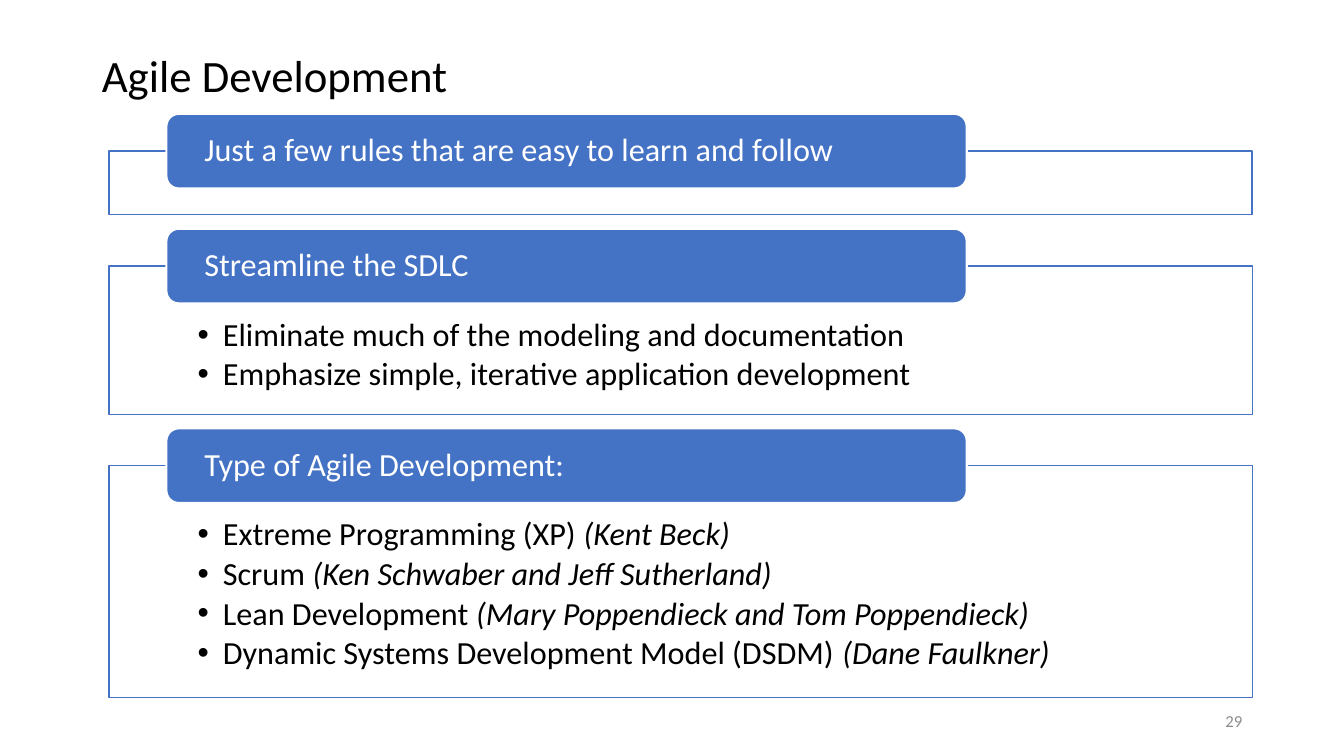
from pptx import Presentation
from pptx import util as u
from pptx.dml import color
from pptx.enum import shapes, text
from pptx.oxml import xmlchemy
from lxml import etree

COLORS = {"blue": "4472C4", "white": "FFFFFF", "black": "000000", "grey": "8C8C8C"}
FONT = "Calibri"
TWO_CONTENT_LAYOUT = 3

PANEL_LEFT, FIRST_PANEL_TOP, PANEL_WIDTH, PANEL_GAP = 1.08, 1.5, 11.34, 0.51
SECTIONS = [
    ("Just a few rules that are easy to learn and follow", 0.63, []),
    ("Streamline the SDLC", 1.47, [
        ("Eliminate much of the modeling and documentation", ""),
        ("Emphasize simple, iterative application development", ""),
    ]),
    ("Type of Agile Development:", 2.3, [
        ("Extreme Programming (XP) ", "(Kent Beck)"),
        ("Scrum ", "(Ken Schwaber and Jeff Sutherland)"),
        ("Lean Development ", "(Mary Poppendieck and Tom Poppendieck)"),
        ("Dynamic Systems Development Model (DSDM) ", "(Dane Faulkner)"),
    ]),
]


def rgb(name):
    return color.RGBColor.from_string(COLORS[name])


def place(shape, left, top, width, height):
    shape.left, shape.top = u.Inches(left), u.Inches(top)
    shape.width, shape.height = u.Inches(width), u.Inches(height)


def set_frame(shape, anchor, insets=(0.1, 0.05, 0.1, 0.05)):
    frame = shape.text_frame
    frame.word_wrap = True
    frame.auto_size = text.MSO_AUTO_SIZE.NONE
    frame.vertical_anchor = anchor
    (frame.margin_left, frame.margin_top,
     frame.margin_right, frame.margin_bottom) = map(u.Inches, insets)
    return frame


def write(paragraph, words, size=23, ink="black", italic=False,
          align=text.PP_ALIGN.LEFT, spacing=0.9, after=0):
    paragraph.alignment = align
    paragraph.line_spacing = spacing
    paragraph.space_before = u.Pt(0)
    paragraph.space_after = u.Pt(after)
    run = paragraph.add_run()
    run.text = words
    run.font.name, run.font.size = FONT, u.Pt(size)
    run.font.italic = italic
    run.font.color.rgb = rgb(ink)


def paint(shape, fill, line, line_width):
    shape.fill.solid()
    shape.fill.fore_color.rgb = rgb(fill)
    shape.line.color.rgb = rgb(line)
    shape.line.width = u.Pt(line_width)


def add_bullet(paragraph):
    properties = paragraph._p.get_or_add_pPr()
    properties.set("marL", str(u.Inches(0.25)))
    properties.set("indent", str(-u.Inches(0.25)))
    etree.SubElement(properties, xmlchemy.qn("a:buChar")).set("char", "•")


def fill_title(slide, left, top, width, height):
    title = slide.shapes.title
    place(title, left, top, width, height)
    frame = set_frame(title, text.MSO_ANCHOR.BOTTOM)
    write(frame.paragraphs[0], "Agile Development", size=32)


def add_header(slide, left, top, width, height, heading):
    header = slide.shapes.add_shape(
        shapes.MSO_SHAPE.ROUNDED_RECTANGLE, *map(u.Inches, (left, top, width, height)))
    header.shadow.inherit = False
    paint(header, "blue", "white", 1.5)
    frame = set_frame(header, text.MSO_ANCHOR.MIDDLE, (0.34, 0, 0.34, 0))
    write(frame.paragraphs[0], heading, ink="white")


def fill_list(panel, items):
    frame = set_frame(panel, text.MSO_ANCHOR.TOP, (0.88, 0.52, 0.88, 0.18))
    for index, (item, authors) in enumerate(items):
        paragraph = frame.add_paragraph() if index else frame.paragraphs[0]
        write(paragraph, item, after=3.45)
        if authors:
            write(paragraph, authors, italic=True, after=3.45)
        add_bullet(paragraph)


def add_section(slide, left, top, width, height, heading, items, bodies):
    """Draw an outlined panel, its list if any, and the header on its top edge."""
    if items:
        panel = next(bodies)
        place(panel, left, top, width, height)
        fill_list(panel, items)
    else:
        panel = slide.shapes.add_shape(
            shapes.MSO_SHAPE.RECTANGLE, *map(u.Inches, (left, top, width, height)))
        panel.shadow.inherit = False
    paint(panel, "white", "blue", 1)
    add_header(slide, left + 0.57, top - 0.37, width * 0.7, 0.74, heading)


def add_page_number(slide, left, top, width, height, number):
    box = slide.shapes.add_textbox(*map(u.Inches, (left, top, width, height)))
    frame = set_frame(box, text.MSO_ANCHOR.MIDDLE)
    write(frame.paragraphs[0], number, size=12, ink="grey",
          align=text.PP_ALIGN.RIGHT, spacing=1.0)


def main():
    deck = Presentation()
    deck.slide_width, deck.slide_height = u.Inches(13.33), u.Inches(7.5)
    slide = deck.slides.add_slide(deck.slide_layouts[TWO_CONTENT_LAYOUT])
    fill_title(slide, 0.91, 0.23, 4.3, 0.83)
    bodies = iter([slide.placeholders[1], slide.placeholders[2]])
    top = FIRST_PANEL_TOP
    for heading, height, items in SECTIONS:
        add_section(slide, PANEL_LEFT, top, PANEL_WIDTH, height, heading, items, bodies)
        top += height + PANEL_GAP
    add_page_number(slide, 9.42, 6.95, 3, 0.4, "29")
    deck.save("out.pptx")


if __name__ == "__main__":
    main()
